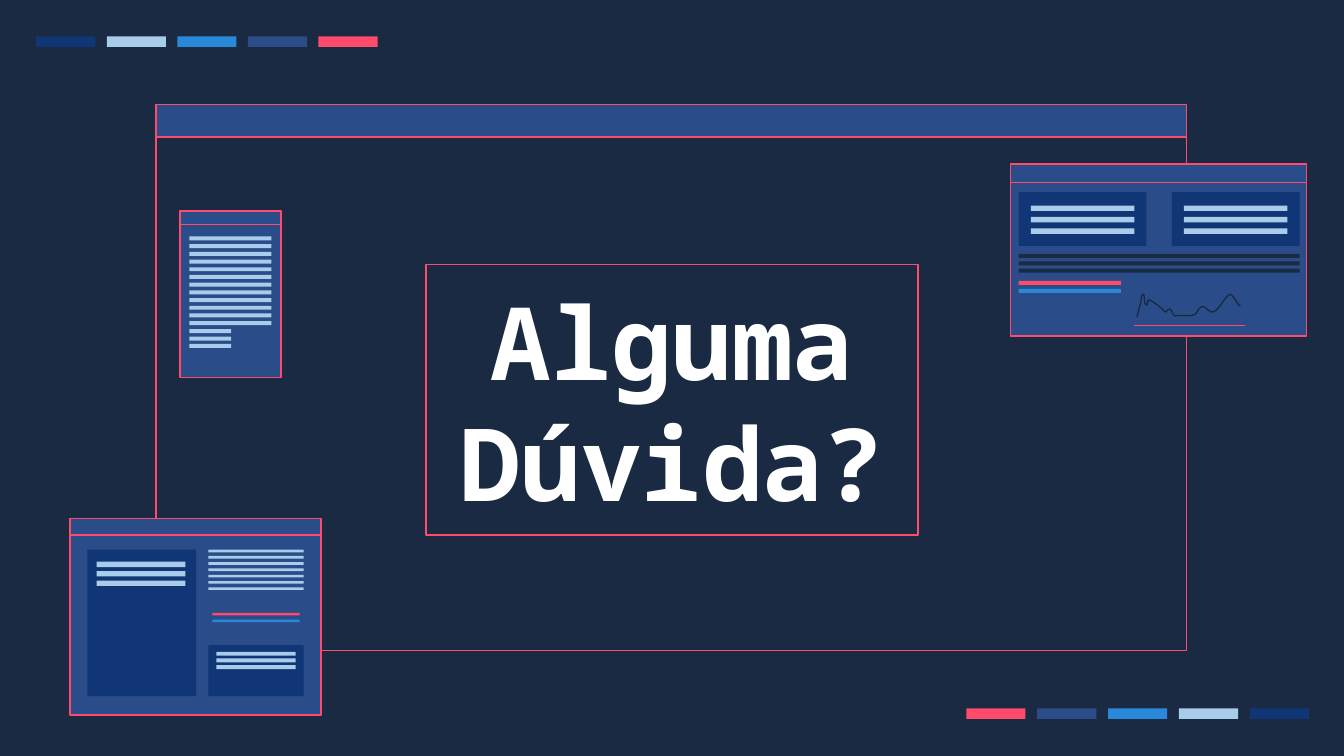
from lxml.etree import SubElement
from pptx import Presentation
from pptx.dml.color import RGBColor
from pptx.enum.shapes import MSO_CONNECTOR, MSO_SHAPE
from pptx.enum.text import MSO_ANCHOR, PP_ALIGN
from pptx.oxml.ns import qn
from pptx.util import Inches, Pt

NIGHT, NAVY, BLUE = "1A2A42", "103675", "2A4C89"
SKY, PALE, PINK = "2A88D8", "A9CCEA", "FE4A6B"
PALETTE = [NAVY, PALE, SKY, BLUE, PINK]

# Chart curve inside the dashboard: a start point, then Bézier control triples.
CURVE_START = (0.94, 1.14)
CURVE = [
    ((0.95, 1.10), (0.96, 1.06), (0.97, 1.02)),
    ((0.97, 1.00), (0.98, 0.96), (0.99, 0.97)),
    ((1.00, 0.99), (0.99, 1.04), (1.01, 1.05)),
    ((1.02, 1.06), (1.02, 1.00), (1.03, 1.01)),
    ((1.07, 1.03), (1.11, 1.06), (1.15, 1.10)),
    ((1.16, 1.11), (1.17, 1.07), (1.19, 1.08)),
    ((1.20, 1.10), (1.22, 1.14), (1.23, 1.13)),
    ((1.28, 1.12), (1.33, 1.14), (1.37, 1.12)),
    ((1.39, 1.11), (1.40, 1.06), (1.43, 1.06)),
    ((1.45, 1.06), (1.48, 1.11), (1.51, 1.10)),
    ((1.55, 1.09), (1.59, 0.99), (1.63, 0.97)),
    ((1.66, 0.97), (1.68, 1.04), (1.71, 1.06)),
]


def color(hex_code):
    return RGBColor.from_string(hex_code)


def set_outline(shape, hex_code):
    shape.line.color.rgb = color(hex_code)
    shape.line.width = Pt(0.75)


def add_rect(shapes, left, top, width, height, fill, outline=None):
    rect = shapes.add_shape(MSO_SHAPE.RECTANGLE, Inches(left), Inches(top),
                            Inches(width), Inches(height))
    rect.shadow.inherit = False
    rect.fill.solid()
    rect.fill.fore_color.rgb = color(fill)
    if outline:
        set_outline(rect, outline)
    else:
        rect.line.fill.background()


def add_rule(shapes, left, top, width):
    rule = shapes.add_connector(MSO_CONNECTOR.STRAIGHT, Inches(left), Inches(top),
                                Inches(left + width), Inches(top))
    set_outline(rule, PINK)
    SubElement(rule._element.spPr, qn("a:effectLst"))


def add_bars(shapes, left, top, width, height, thickness, fills):
    """Stack one bar per fill, spread evenly over the given height."""
    pitch = (height - thickness) / (len(fills) - 1)
    for index, fill in enumerate(fills):
        add_rect(shapes, left, top + index * pitch, width, thickness, fill)


def add_palette_strip(page, left, top, width, height, fills):
    shapes = page.shapes.add_group_shape().shapes
    chip = 0.44
    pitch = (width - chip) / (len(fills) - 1)
    for index, fill in enumerate(fills):
        add_rect(shapes, left + index * pitch, top, chip, height, fill)


def add_main_window(page, left, top, width, height):
    shapes = page.shapes.add_group_shape().shapes
    bar = 0.24
    add_rect(shapes, left, top + bar, width, height - bar, NIGHT, PINK)
    add_rect(shapes, left, top, width, bar, BLUE, PINK)


def add_title(page, left, top, width, height, text):
    title = page.shapes.title
    # Bring the title in front of the window drawn so far.
    title.element.getparent().append(title.element)
    title.left, title.top = Inches(left), Inches(top)
    title.width, title.height = Inches(width), Inches(height)
    set_outline(title, PINK)
    frame = title.text_frame
    frame.text = text
    frame.word_wrap = True
    frame.vertical_anchor = MSO_ANCHOR.BOTTOM
    frame.margin_left = frame.margin_right = Inches(0.1)
    frame.margin_top = frame.margin_bottom = Inches(0.1)
    para = frame.paragraphs[0]
    para.alignment = PP_ALIGN.CENTER
    font = para.runs[0].font
    font.name, font.size, font.bold = "Noto Sans Mono", Pt(54), True
    font.color.rgb = color("FFFFFF")


def add_article_window(page, left, top, width, height):
    shapes = page.shapes.add_group_shape().shapes
    add_rect(shapes, left, top, width, height, BLUE, PINK)
    add_rule(shapes, left, top + 0.12, width)
    add_rect(shapes, left + 0.13, top + 0.23, 0.81, 1.09, NAVY)
    add_bars(shapes, left + 0.2, top + 0.32, 0.66, 0.18, 0.04, [PALE] * 3)
    add_bars(shapes, left + 1.03, top + 0.23, 0.71, 0.3, 0.02, [PALE] * 7)
    add_rect(shapes, left + 1.03, top + 0.94, 0.71, 0.38, NAVY)
    add_bars(shapes, left + 1.09, top + 0.99, 0.59, 0.13, 0.03, [PALE] * 3)
    add_bars(shapes, left + 1.06, top + 0.7, 0.65, 0.07, 0.02, [PINK, SKY])


def add_curve(shapes, left, top):
    points, start, steps = [], CURVE_START, 6
    for first, second, end in CURVE:
        for step in range(1, steps + 1):
            t = step / steps
            u = 1 - t
            points.append(tuple(
                u**3 * a + 3 * u * u * t * b + 3 * u * t * t * c + t**3 * d
                for a, b, c, d in zip(start, first, second, end)))
        start = end
    builder = shapes.build_freeform(Inches(left + CURVE_START[0]),
                                    Inches(top + CURVE_START[1]))
    builder.add_line_segments(
        [(Inches(left + x), Inches(top + y)) for x, y in points], close=False)
    curve = builder.convert_to_shape()
    curve.shadow.inherit = False
    curve.fill.background()
    set_outline(curve, NIGHT)


def add_dashboard_window(page, left, top, width, height):
    shapes = page.shapes.add_group_shape().shapes
    add_rect(shapes, left, top, width, height, BLUE, PINK)
    add_rule(shapes, left, top + 0.14, width)
    for card_left in (left + 0.06, left + 1.2):
        add_rect(shapes, card_left, top + 0.21, 0.95, 0.4, NAVY)
        add_bars(shapes, card_left + 0.09, top + 0.31, 0.77, 0.21, 0.04, [PALE] * 3)
    add_bars(shapes, left + 0.06, top + 0.67, 2.09, 0.14, 0.03, [NIGHT] * 3)
    add_bars(shapes, left + 0.06, top + 0.87, 0.76, 0.09, 0.03, [PINK, SKY])
    add_curve(shapes, left, top)
    add_rule(shapes, left + 0.92, top + 1.2, 0.82)


def add_phone_window(page, left, top, width, height):
    shapes = page.shapes.add_group_shape().shapes
    add_rect(shapes, left, top, width, height, BLUE, PINK)
    add_rect(shapes, left, top, width, 0.1, BLUE, PINK)
    add_bars(shapes, left + 0.07, top + 0.19, 0.61, 0.66, 0.03, [PALE] * 12)
    add_bars(shapes, left + 0.07, top + 0.88, 0.31, 0.14, 0.03, [PALE] * 3)


def main():
    deck = Presentation()
    deck.slide_width = Inches(10)
    deck.slide_height = deck.slide_width * 9 // 16
    page = deck.slides.add_slide(deck.slide_layouts[5])
    page.background.fill.solid()
    page.background.fill.fore_color.rgb = color(NIGHT)

    add_palette_strip(page, 0.27, 0.27, 2.54, 0.08, PALETTE)
    add_palette_strip(page, 7.19, 5.27, 2.55, 0.08, PALETTE[::-1])
    add_main_window(page, 1.16, 0.78, 7.67, 4.06)
    add_title(page, 3.17, 1.97, 3.66, 2.01, "Alguma Dúvida?")
    add_article_window(page, 0.52, 3.86, 1.87, 1.46)
    add_dashboard_window(page, 7.52, 1.22, 2.2, 1.28)
    add_phone_window(page, 1.34, 1.57, 0.75, 1.24)
    deck.save("out.pptx")


if __name__ == "__main__":
    main()
